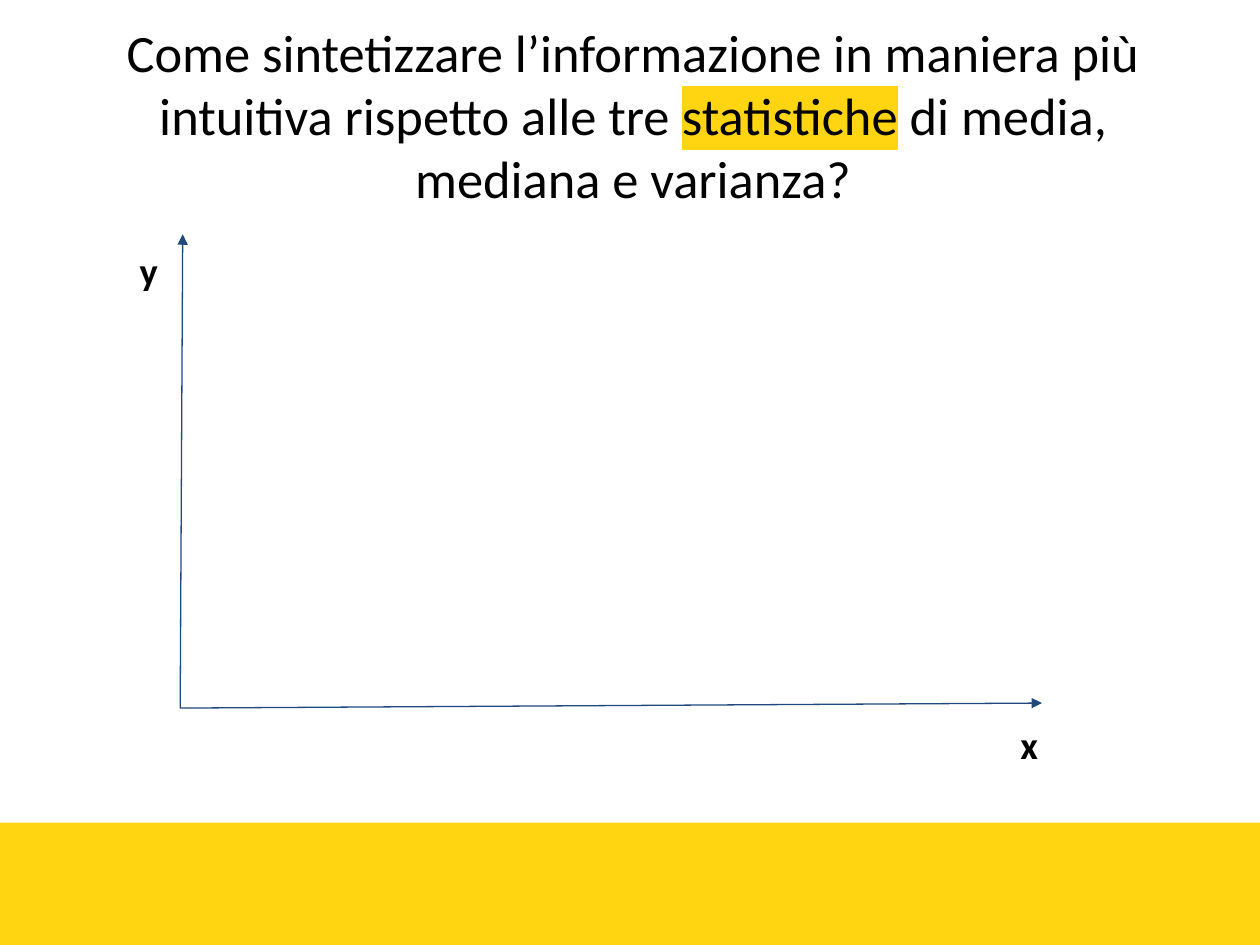
from lxml import etree
from pptx import Presentation
from pptx.dml.color import RGBColor
from pptx.enum.shapes import MSO_CONNECTOR, MSO_SHAPE
from pptx.enum.text import MSO_ANCHOR, PP_ALIGN
from pptx.oxml.ns import qn
from pptx.util import Inches, Pt

STRAIGHT = MSO_CONNECTOR.STRAIGHT
RECTANGLE = MSO_SHAPE.RECTANGLE
MIDDLE, TOP = MSO_ANCHOR.MIDDLE, MSO_ANCHOR.TOP
CENTER, LEFT = PP_ALIGN.CENTER, PP_ALIGN.LEFT

FONT = "Calibri"
BLACK, YELLOW, NAVY = "000000", "FFD410", "1F497D"
ORIGIN = (1.43, 5.62)


def color(value):
    return RGBColor.from_string(value)


def add_run(paragraph, text, size, bold=False, highlight=None):
    run = paragraph.add_run()
    run.text = text
    font = run.font
    font.name, font.size, font.bold = FONT, Pt(size), bold
    font.color.rgb = color(BLACK)
    if highlight:
        mark = etree.Element(qn("a:highlight"))
        etree.SubElement(mark, qn("a:srgbClr"), val=highlight)
        run.font.fill  # the highlight must follow the text fill
        run._r.rPr.find(qn("a:solidFill")).addnext(mark)


def add_text_box(slide, box, inset, anchor, alignment):
    """Add an empty wrapping text box and return its first paragraph."""
    shape = slide.shapes.add_textbox(*map(Inches, box))
    frame = shape.text_frame
    frame.word_wrap = True
    frame.vertical_anchor = anchor
    frame.margin_left = frame.margin_right = Inches(0.1)
    frame.margin_top = frame.margin_bottom = Inches(inset)
    paragraph = frame.paragraphs[0]
    paragraph.alignment = alignment
    return paragraph


def add_title(slide):
    paragraph = add_text_box(slide, (0.42, 0.21, 9.21, 1.4), 0.05, MIDDLE, CENTER)
    add_run(paragraph, "Come sintetizzare l’informazione in maniera più "
                       "intuitiva rispetto alle tre ", 30)
    add_run(paragraph, "statistiche", 30, highlight=YELLOW)
    add_run(paragraph, " di media, mediana e varianza?", 30)


def add_footer_band(slide):
    band = slide.shapes.add_shape(
        RECTANGLE, Inches(0), Inches(6.53), Inches(10), Inches(0.97))
    band.shadow.inherit = False
    band.fill.solid()
    band.fill.fore_color.rgb = color(YELLOW)
    band.line.fill.background()


def add_axis(slide, end):
    axis = slide.shapes.add_connector(STRAIGHT, *map(Inches, ORIGIN + end))
    axis.line.color.rgb = color(NAVY)
    axis.line.width = Pt(0.75)
    etree.SubElement(axis.line._get_or_add_ln(), qn("a:tailEnd"), type="triangle")
    etree.SubElement(axis._element.spPr, qn("a:effectLst"))


def add_axis_label(slide, text, left, top):
    paragraph = add_text_box(slide, (left, top, 0.64, 0.57), 0.1, TOP, LEFT)
    add_run(paragraph, text, 22, bold=True)


def main():
    presentation = Presentation()
    presentation.slide_width = Inches(10)
    presentation.slide_height = Inches(7.5)
    slide = presentation.slides.add_slide(presentation.slide_layouts[6])

    add_title(slide)
    add_footer_band(slide)
    add_axis(slide, (1.45, 1.86))
    add_axis(slide, (8.27, 5.58))
    add_axis_label(slide, "x", 8, 5.62)
    add_axis_label(slide, "y", 1.01, 1.86)

    presentation.save("out.pptx")


if __name__ == "__main__":
    main()
